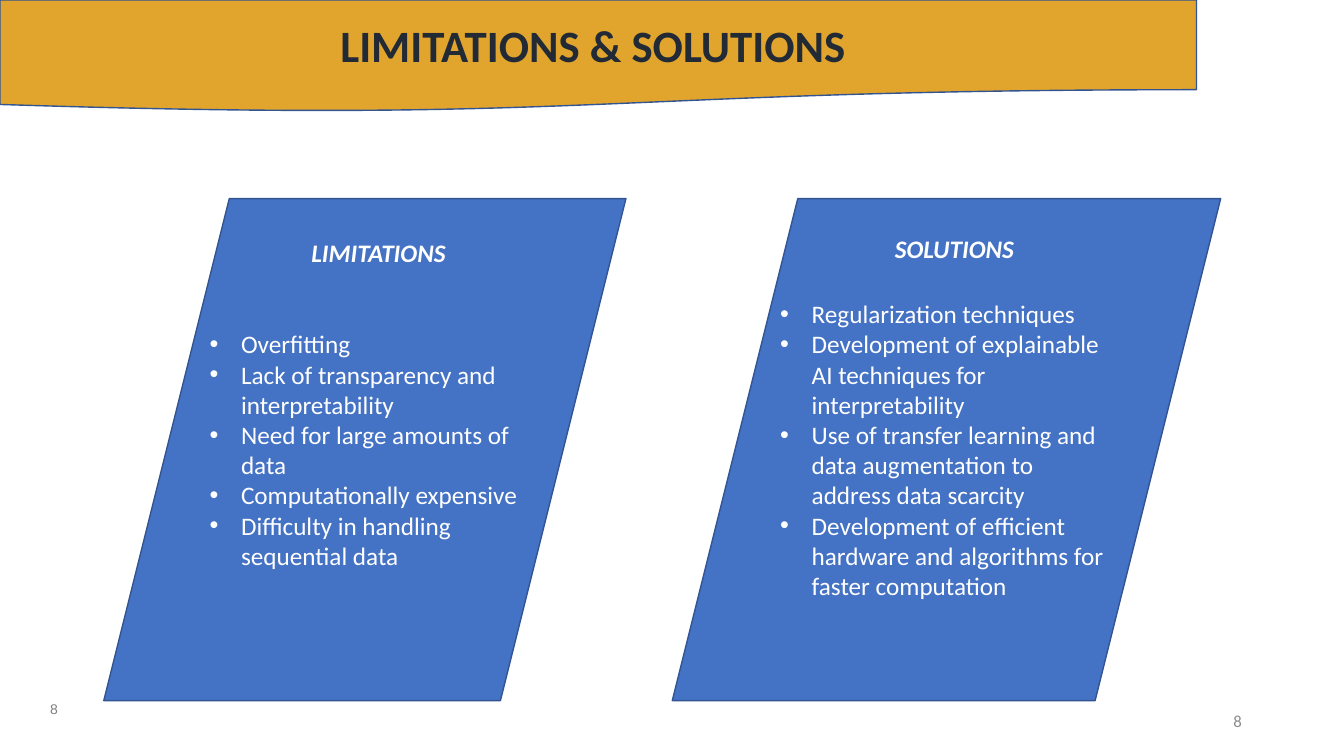
from dataclasses import dataclass
from typing import Any

from lxml.etree import SubElement
from pptx import Presentation
from pptx.dml.color import RGBColor as RGB
from pptx.enum.shapes import MSO_SHAPE as Preset
from pptx.enum.text import MSO_ANCHOR as Anchor, PP_ALIGN as Align
from pptx.oxml.ns import qn
from pptx.util import Pt

COLORS = {
    "panel": "4472C4",
    "outline": "325491",
    "banner": "E1A52D",
    "title": "222A35",
    "white": "FFFFFF",
    "left_number": "808080",
    "right_number": "8C8C8C",
}
BULLET_INDENT = 22.5
PANEL_TOP = 141.84
PANEL_HEIGHT = 358.56


@dataclass(frozen=True)
class Box:
    left: float
    top: float
    width: float
    height: float


@dataclass(frozen=True)
class Style:
    size: float
    color: str
    font: str = "Calibri"
    bold: bool = False
    italic: bool = False
    align: Align = Align.LEFT


@dataclass(frozen=True)
class Panel:
    box: Box
    heading: str
    heading_box: Box
    points: tuple[str, ...]


@dataclass(frozen=True)
class PageNumber:
    box: Box
    style: Style


TITLE = Style(32, "title", bold=True, align=Align.CENTER)
HEADING = Style(18, "white", bold=True, italic=True)
BODY = Style(18, "white")

PANELS = (
    Panel(
        Box(74.16, PANEL_TOP, 372.96, PANEL_HEIGHT),
        "LIMITATIONS",
        Box(215.28, 166.32, 153.36, 28.8),
        (
            "Overfitting",
            "Lack of transparency and interpretability",
            "Need for large amounts of data",
            "Computationally expensive",
            "Difficulty in handling sequential data",
        ),
    ),
    Panel(
        Box(480.24, PANEL_TOP, 391.68, PANEL_HEIGHT),
        "SOLUTIONS",
        Box(632.16, 163.44, 153.36, 28.8),
        (
            "Regularization techniques",
            "Development of explainable AI techniques for interpretability",
            "Use of transfer learning and data augmentation to address data scarcity",
            "Development of efficient hardware and algorithms for faster computation",
        ),
    ),
)

PAGE_NUMBERS = (
    PageNumber(Box(11.52, 491.76, 54, 28.8),
               Style(10, "left_number", font="Arial", align=Align.CENTER)),
    PageNumber(Box(678.24, 500.4, 216, 28.8),
               Style(12, "right_number", align=Align.RIGHT)),
)


def lengths(box: Box) -> tuple[Pt, Pt, Pt, Pt]:
    return Pt(box.left), Pt(box.top), Pt(box.width), Pt(box.height)


def add_bullet(paragraph: Any) -> None:
    properties = paragraph._p.get_or_add_pPr()
    properties.set("marL", str(Pt(BULLET_INDENT)))
    properties.set("indent", str(-Pt(BULLET_INDENT)))
    SubElement(properties, qn("a:buFont")).set("typeface", "Arial")
    SubElement(properties, qn("a:buChar")).set("char", "•")


def write(frame: Any, lines: tuple[str, ...], style: Style,
          anchor: Anchor = Anchor.MIDDLE, bulleted: bool = False) -> None:
    frame.word_wrap = True
    frame.vertical_anchor = anchor
    for index, line in enumerate(lines):
        paragraph = frame.add_paragraph() if index else frame.paragraphs[0]
        paragraph.alignment = style.align
        if bulleted:
            add_bullet(paragraph)
        run = paragraph.add_run()
        run.text = line
        run.font.name = style.font
        run.font.size = Pt(style.size)
        run.font.bold = style.bold
        run.font.italic = style.italic
        run.font.color.rgb = RGB.from_string(COLORS[style.color])


def add_block(slide: Any, preset: Preset, box: Box, fill: str) -> Any:
    block = slide.shapes.add_shape(preset, *lengths(box))
    block.shadow.inherit = False
    block.fill.solid()
    block.fill.fore_color.rgb = RGB.from_string(COLORS[fill])
    block.line.color.rgb = RGB.from_string(COLORS["outline"])
    block.line.width = Pt(1)
    return block.text_frame


def add_label(slide: Any, box: Box, text: str, style: Style, anchor: Anchor) -> None:
    label = slide.shapes.add_textbox(*lengths(box))
    write(label.text_frame, (text,), style, anchor)


def main() -> None:
    deck = Presentation()
    deck.slide_width, deck.slide_height = Pt(960), Pt(540)
    slide = deck.slides.add_slide(deck.slide_layouts[6])

    for number in PAGE_NUMBERS:
        add_label(slide, number.box, "8", number.style, Anchor.MIDDLE)

    for panel in PANELS:
        body = add_block(slide, Preset.PARALLELOGRAM, panel.box, "panel")
        write(body, panel.points, BODY, bulleted=True)

    banner = add_block(slide, Preset.FLOWCHART_DOCUMENT, Box(0, 0, 854.64, 79.92), "banner")
    write(banner, ("LIMITATIONS & SOLUTIONS ",), TITLE)

    for panel in PANELS:
        add_label(slide, panel.heading_box, panel.heading, HEADING, Anchor.TOP)

    deck.save("out.pptx")


if __name__ == "__main__":
    main()
